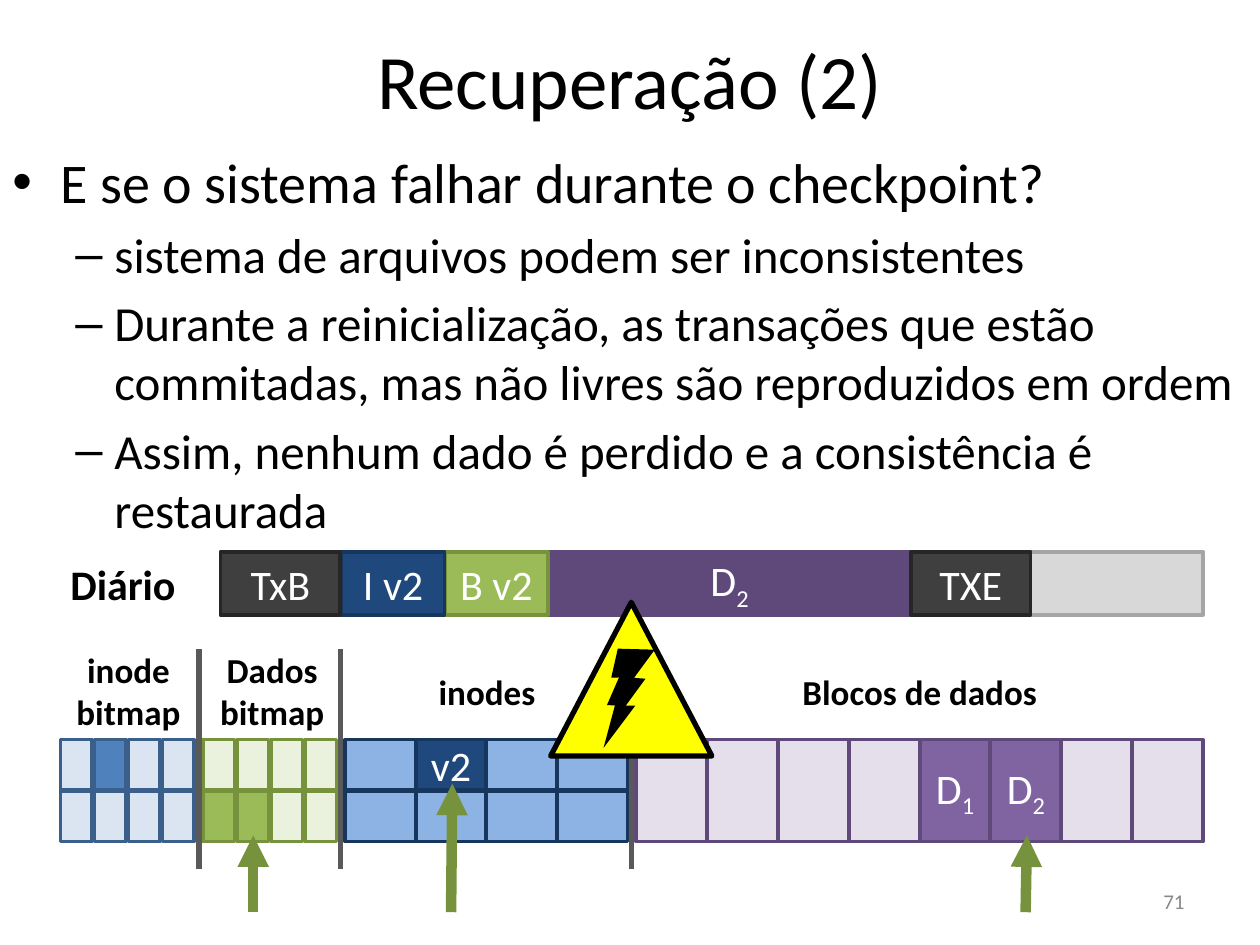
from lxml import etree
from pptx import Presentation
from pptx.dml.color import RGBColor
from pptx.enum.shapes import MSO_CONNECTOR, MSO_SHAPE
from pptx.enum.text import MSO_ANCHOR, MSO_AUTO_SIZE, PP_ALIGN
from pptx.oxml.ns import qn
from pptx.util import Inches, Pt

RECT, TRIANGLE, BOLT = MSO_SHAPE.RECTANGLE, MSO_SHAPE.ISOSCELES_TRIANGLE, MSO_SHAPE.LIGHTNING_BOLT
STRAIGHT = MSO_CONNECTOR.STRAIGHT
LEFT, CENTER, RIGHT = PP_ALIGN.LEFT, PP_ALIGN.CENTER, PP_ALIGN.RIGHT
TOP, MIDDLE = MSO_ANCHOR.TOP, MSO_ANCHOR.MIDDLE
FIT_SHAPE, NO_FIT = MSO_AUTO_SIZE.SHAPE_TO_FIT_TEXT, MSO_AUTO_SIZE.NONE
FONT = "Calibri"
COLORS = {
    "black": "000000", "white": "FFFFFF", "number": "888888", "divider": "595959",
    "free": "D8D8D8", "free_edge": "A5A5A5", "mark": "3F3F3F", "mark_edge": "262626",
    "navy": "1F497D", "navy_edge": "17365D", "sky": "8CB3E3",
    "blue": "4F81BD", "blue_edge": "3A5F8B", "blue_pale": "DAE5F1",
    "green": "9BBB59", "green_edge": "76923C", "green_pale": "EAF1DD",
    "purple": "8064A2", "purple_edge": "5F497A", "purple_pale": "E5DFEC",
    "yellow": "FFFF00",
}
BULLETS = [
    (0, "E se o sistema falhar durante o checkpoint?"),
    (1, "sistema de arquivos podem ser inconsistentes"),
    (1, "Durante a reinicialização, as transações que estão "
        "commitadas, mas não livres são reproduzidos em ordem"),
    (1, "Assim, nenhum dado é perdido e a consistência é restaurada"),
]
LEVELS = [("•", 32, 0.38, 0.38, 0), ("–", 28, 0.81, 0.31, 5.6)]


def color(name):
    return RGBColor.from_string(COLORS[name])


def add_span(para, text, size, shade, bold=False, subscript=False):
    span = para.add_run()
    span.text = text
    span.font.name = FONT
    span.font.size = Pt(size)
    span.font.bold = bold
    span.font.color.rgb = color(shade)
    if subscript:
        span.font._element.set("baseline", "-25000")


def add_shape(page, kind, left, top, width, height, fill, edge=None, weight=2):
    shape = page.shapes.add_shape(kind, Inches(left), Inches(top), Inches(width), Inches(height))
    shape.shadow.inherit = False
    shape.fill.solid()
    shape.fill.fore_color.rgb = color(fill)
    if edge:
        shape.line.color.rgb = color(edge)
        shape.line.width = Pt(weight)
    else:
        shape.line.fill.background()
    return shape


def add_cell(page, left, top, width, height, fill, edge, text="", subscript=""):
    cell = add_shape(page, RECT, left, top, width, height, fill, edge)
    if text:
        cell.text_frame.vertical_anchor = MIDDLE
        para = cell.text_frame.paragraphs[0]
        para.alignment = CENTER
        add_span(para, text, 24, "white")
        if subscript:
            add_span(para, subscript, 24, "white", subscript=True)


def add_label(page, left, top, width, height, lines, size, align=CENTER,
              shade="black", bold=True, anchor=TOP):
    box = page.shapes.add_textbox(Inches(left), Inches(top), Inches(width), Inches(height))
    frame = box.text_frame
    frame.word_wrap = False
    frame.auto_size = FIT_SHAPE
    frame.vertical_anchor = anchor
    for index, line in enumerate(lines):
        para = frame.add_paragraph() if index else frame.paragraphs[0]
        para.alignment = align
        add_span(para, line, size, shade, bold)


def add_line(page, start, end, shade, weight, arrow=False):
    line = page.shapes.add_connector(STRAIGHT, *map(Inches, start + end))
    line.line.color.rgb = color(shade)
    line.line.width = Pt(weight)
    if arrow:
        etree.SubElement(line.line._get_or_add_ln(), qn("a:tailEnd"), type="triangle")
    etree.SubElement(line._element.spPr, qn("a:effectLst"))


def add_title(page, left, top, width, height):
    title = page.shapes.title
    title.left, title.top, title.width, title.height = map(Inches, (left, top, width, height))
    title.text_frame.vertical_anchor = MIDDLE
    para = title.text_frame.paragraphs[0]
    para.alignment = CENTER
    add_span(para, "Recuperação (2)", 44, "black")


def add_bullets(page, left, top, width, height):
    box = page.shapes.add_textbox(Inches(left), Inches(top), Inches(width), Inches(height))
    frame = box.text_frame
    frame.word_wrap = True
    frame.auto_size = NO_FIT
    for index, (level, text) in enumerate(BULLETS):
        mark, size, margin, hanging, before = LEVELS[level]
        para = frame.add_paragraph() if index else frame.paragraphs[0]
        para.level = level
        if before:
            para.space_before = Pt(before)
        props = para._element.get_or_add_pPr()
        props.set("marL", str(Inches(margin)))
        props.set("indent", str(-Inches(hanging)))
        etree.SubElement(props, qn("a:buFont"), typeface="Arial")
        etree.SubElement(props, qn("a:buChar"), char=mark)
        add_span(para, text, size, "black")


def add_journal(page, left, top, width, height):
    add_label(page, 0.46, top, 1.1, height, ["Diário"], 24, LEFT)
    add_cell(page, left, top, width, height, "free", "free_edge")
    entries = [
        (4.35, 2.88, "purple_edge", "purple_edge", "D", "2"),
        (3.53, 0.82, "green", "green_edge", "B v2", ""),
        (2.71, 0.82, "navy", "navy_edge", "I v2", ""),
        (left, 0.95, "mark", "mark_edge", "TxB", ""),
        (7.23, 0.95, "mark", "mark_edge", "TXE", ""),
    ]
    for entry_left, entry_width, *style in entries:
        add_cell(page, entry_left, top, entry_width, height, *style)


def add_grid(page, left, top, columns, rows, pitch, size, fill, edge, special):
    for row in range(rows):
        for column in range(columns):
            style = special.get((row, column), (fill,))
            add_cell(page, left + column * pitch, top + row * 0.41, *size,
                     style[0], edge, *style[1:])


def add_disk(page, top):
    small, wide, tall = (0.25, 0.4), (0.56, 0.4), (0.56, 0.81)
    add_grid(page, 0.48, top, 4, 2, 0.27, small, "blue_pale", "blue_edge", {(0, 1): ("blue",)})
    add_grid(page, 1.61, top, 4, 2, 0.27, small, "green_pale", "green_edge",
             {(1, 0): ("green",), (1, 1): ("green",)})
    add_grid(page, 2.74, top, 4, 2, 0.56, wide, "sky", "navy_edge", {(0, 1): ("navy", "v2")})
    add_grid(page, 5.05, top, 8, 1, 4.5 / 8, tall, "purple_pale", "purple_edge",
             {(0, 4): ("purple", "D", "1"), (0, 5): ("purple", "D", "2")})
    add_label(page, 0.48, 5.1, 1.08, 0.76, ["inode", "bitmap"], 20)
    add_label(page, 1.62, 5.1, 1.08, 0.76, ["Dados", "bitmap"], 20)
    add_label(page, 3.36, 5.27, 1.01, 0.43, ["inodes"], 20)
    add_label(page, 6.25, 5.27, 2.1, 0.43, ["Blocos de dados"], 20)
    for across in (1.58, 2.7, 5.01):
        add_line(page, (across, 5.15), (across, 6.9), "divider", 3)


def add_update_arrows(page, bottom):
    for start, end, tip in ((3.58, 3.59, 6.22), (2.01, 2.01, 6.63), (8.14, 8.15, 6.63)):
        add_line(page, (start, bottom), (end, tip), "green_edge", 6, arrow=True)


def add_crash_sign(page, left, top, width, height):
    add_shape(page, TRIANGLE, left, top, width, height, "yellow", "black", 3)
    bolt = add_shape(page, BOLT, left + 0.26, top + 0.37, 0.68, 0.68, "black")
    bolt.rotation = 336.9
    bolt._element.spPr.find(qn("a:xfrm")).set("flipH", "1")


def main():
    deck = Presentation()
    deck.slide_width, deck.slide_height = Inches(10), Inches(7.5)
    page = deck.slides.add_slide(deck.slide_layouts[5])
    add_title(page, 0.5, 0, 9, 1.25)
    add_bullets(page, 0, 1.12, 10, 5.66)
    add_label(page, 7.17, 6.95, 2.33, 0.4, ["71"], 12, RIGHT, "number", False, MIDDLE)
    add_journal(page, 1.75, 4.38, 7.8, 0.5)
    add_disk(page, 5.87)
    add_update_arrows(page, 7.24)
    add_crash_sign(page, 4.37, 4.78, 1.28, 1.22)
    deck.save("out.pptx")


if __name__ == "__main__":
    main()
